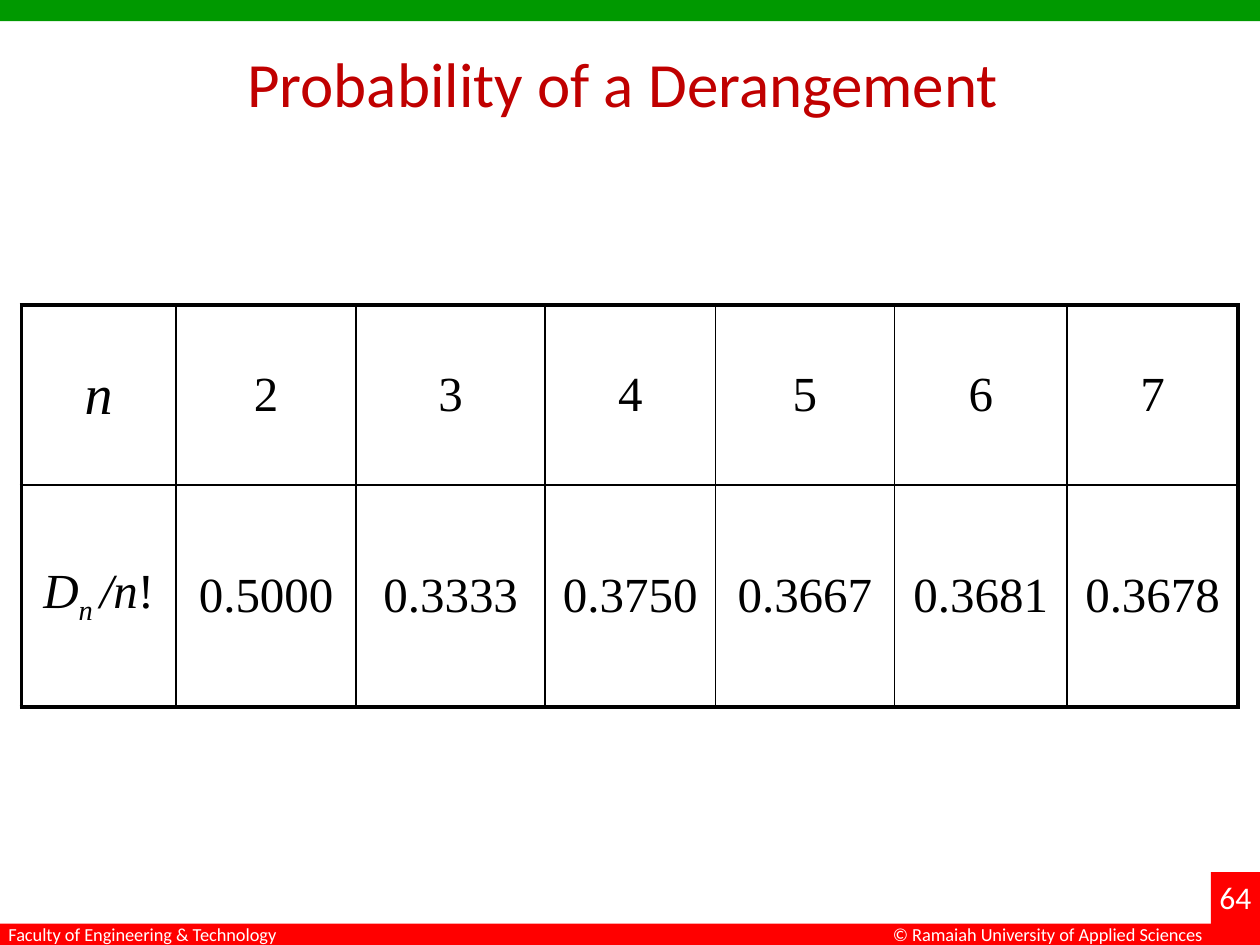
import pptx
import pptx.dml.color
import pptx.enum.shapes
import pptx.enum.text
import pptx.oxml
import pptx.oxml.ns
import pptx.util
from pptx.util import Cm

# Content
TITLE = "Probability of a Derangement "  # the space keeps the title slightly left
PAGE_NUMBER = "64"
FACULTY = "Faculty of Engineering & Technology"
COPYRIGHT = "© Ramaiah University of Applied Sciences"

# Each cell is a list of runs: text, size, italic, baseline in percent
HEADER_ROW = [[("n", 32, True, 0)]] + [[(str(n), 28, False, 0)] for n in range(2, 8)]
RATIO_LABEL = [("D", 28, True, 0), ("n ", 28, True, -25),
               ("/n", 28, True, 0), ("!", 28, False, 0)]
RATIOS = ["0.5000", "0.3333", "0.3750", "0.3667", "0.3681", "0.3678"]
ROWS = [HEADER_ROW, [RATIO_LABEL] + [[(ratio, 28, False, 0)] for ratio in RATIOS]]

# Layout in cm
COLUMN_WIDTHS = [3.12, 3.63, 3.81, 3.43, 3.61, 3.48, 3.45]
ROW_HEIGHTS = [3.63, 4.47]
BANDS = [(0, 0, 25.4, 0.43, "009900"),
         (0, 18.62, 25.4, 0.43, "FF0000"),
         (24.41, 17.58, 0.99, 1.47, "FF0000")]
LABELS = [(PAGE_NUMBER, 24.13, 17.58, 1.55, 1.3, 18, "CENTER"),
          (FACULTY, -0.08, 18.49, 6.05, 0.71, 10.5, "LEFT"),
          (COPYRIGHT, 17.75, 18.49, 6.86, 0.71, 10.5, "LEFT")]
OUTER_LINE, INNER_LINE = 2.25, 1


def color(hex_value):
    return pptx.dml.color.RGBColor.from_string(hex_value)


def set_font(font, name, size, hex_value):
    font.name = name
    font.size = pptx.util.Pt(size)
    font.color.rgb = color(hex_value)


def add_border(cell, side, width):
    cell._tc.get_or_add_tcPr().append(pptx.oxml.parse_xml(
        f'<a:{side} {pptx.oxml.ns.nsdecls("a")} w="{pptx.util.Pt(width)}">'
        f'<a:solidFill><a:srgbClr val="000000"/></a:solidFill></a:{side}>'))


def fill_cell(cell, runs):
    cell.vertical_anchor = pptx.enum.text.MSO_ANCHOR.MIDDLE
    paragraph = cell.text_frame.paragraphs[0]
    paragraph.alignment = pptx.enum.text.PP_ALIGN.CENTER
    for text, size, italic, baseline in runs:
        run = paragraph.add_run()
        run.text = text
        set_font(run.font, "Times New Roman", size, "000000")
        run.font.italic = italic
        if baseline:
            run._r.get_or_add_rPr().set("baseline", str(baseline * 1000))


def main():
    presentation = pptx.Presentation()
    presentation.slide_width, presentation.slide_height = Cm(25.4), Cm(19.05)
    slide = presentation.slides.add_slide(presentation.slide_layouts[5])

    # Coloured bands
    for left, top, width, height, hex_value in BANDS:
        band = slide.shapes.add_shape(pptx.enum.shapes.MSO_SHAPE.RECTANGLE,
                                      Cm(left), Cm(top), Cm(width), Cm(height))
        band.shadow.inherit = False
        band.fill.solid()
        band.fill.fore_color.rgb = color(hex_value)
        band.line.fill.background()

    # Footer labels and page number
    for text, left, top, width, height, size, alignment in LABELS:
        label = slide.shapes.add_textbox(Cm(left), Cm(top), Cm(width), Cm(height))
        label.text_frame.word_wrap = False
        paragraph = label.text_frame.paragraphs[0]
        paragraph.text = text
        paragraph.alignment = pptx.enum.text.PP_ALIGN[alignment]
        set_font(paragraph.font, "Calibri", size, "FFFFFF")

    # Title
    title = slide.shapes.title
    title.left, title.top, title.width, title.height = Cm(1.27), Cm(0.76), Cm(22.86), Cm(3.18)
    title.text_frame.vertical_anchor = pptx.enum.text.MSO_ANCHOR.TOP
    heading = title.text_frame.paragraphs[0]
    heading.text = TITLE
    heading.alignment = pptx.enum.text.PP_ALIGN.CENTER
    set_font(heading.font, "Calibri", 36, "C00000")

    # Probability table
    table = slide.shapes.add_table(len(ROWS), len(COLUMN_WIDTHS), Cm(0.43), Cm(6.15),
                                   Cm(sum(COLUMN_WIDTHS)), Cm(sum(ROW_HEIGHTS))).table
    table.first_row = table.horz_banding = False
    for column, width in zip(table.columns, COLUMN_WIDTHS):
        column.width = Cm(width)
    for row, height in zip(table.rows, ROW_HEIGHTS):
        row.height = Cm(height)
    last_row, last_column = len(ROWS) - 1, len(COLUMN_WIDTHS) - 1
    for r, row in enumerate(ROWS):
        for c, runs in enumerate(row):
            cell = table.cell(r, c)
            fill_cell(cell, runs)
            outer_sides = {"lnL": c == 0, "lnR": c == last_column,
                           "lnT": r == 0, "lnB": r == last_row}
            for side, is_outer in outer_sides.items():
                add_border(cell, side, OUTER_LINE if is_outer else INNER_LINE)
            cell.fill.background()

    presentation.save("out.pptx")


if __name__ == "__main__":
    main()
